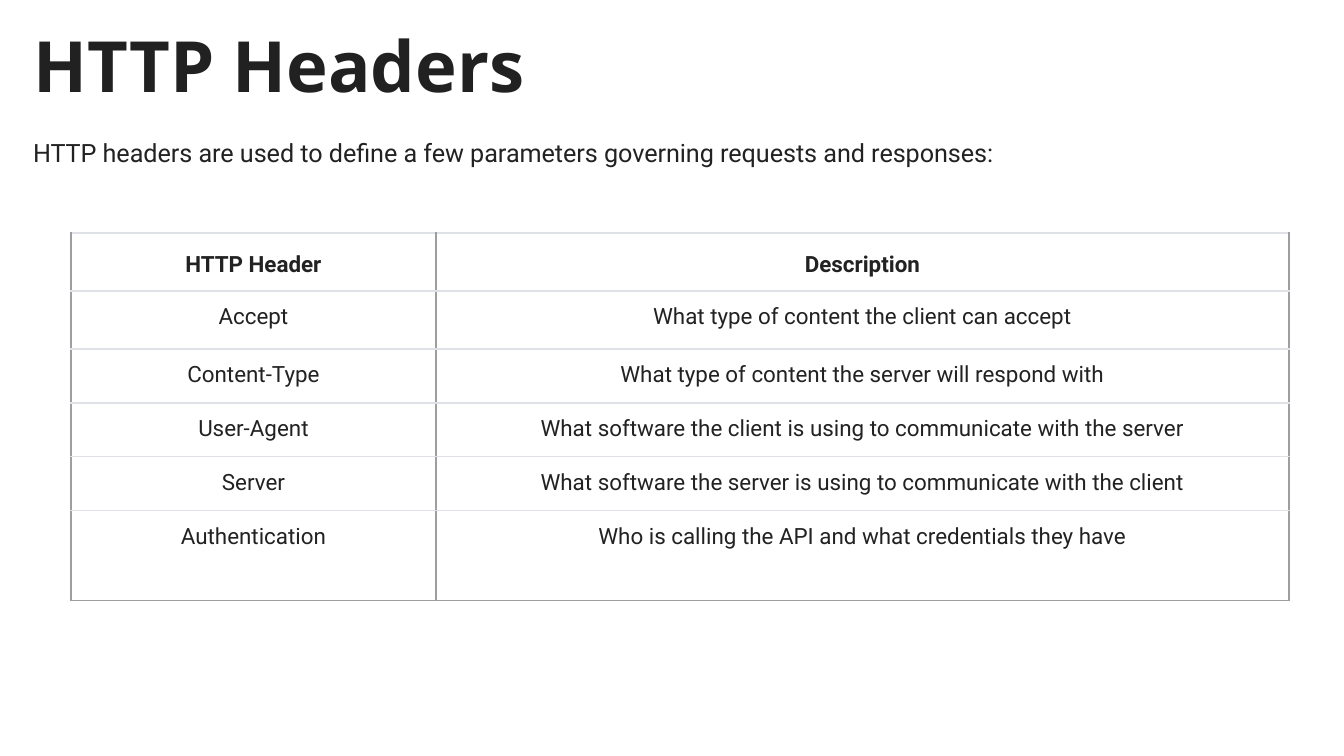
from lxml.etree import SubElement
from pptx import Presentation
from pptx.dml.color import RGBColor
from pptx.enum.text import MSO_ANCHOR, PP_ALIGN
from pptx.oxml.ns import qn
from pptx.util import Pt

PIXEL = 914400 / 134.4
INSET = 13
TITLE_COLOR = RGBColor(0x21, 0x21, 0x21)
TEXT_COLOR = RGBColor(0x22, 0x22, 0x22)
GRID_GRAY = RGBColor(0x9E, 0x9E, 0x9E)
RULE_GRAY = RGBColor(0xDE, 0xE2, 0xE6)

COLUMN_WIDTHS = (365, 853)
ROW_HEIGHTS = (58, 58, 54, 54, 54, 90)
HEADERS = (
    ("HTTP Header", "Description"),
    ("Accept", "What type of content the client can accept"),
    ("Content-Type", "What type of content the server will respond with"),
    ("User-Agent", "What software the client is using to communicate with the server"),
    ("Server", "What software the server is using to communicate with the client"),
    ("Authentication", "Who is calling the API and what credentials they have"),
)


def px(pixels):
    """Convert picture pixels to EMU."""
    return round(pixels * PIXEL)


def set_insets(area, top=INSET):
    """Set the margins of a text frame or table cell."""
    area.margin_left = area.margin_right = area.margin_bottom = px(INSET)
    area.margin_top = px(top)


def style_paragraph(paragraph, font_name, size, color, bold=False, align=PP_ALIGN.LEFT, spacing=1.0):
    """Format a whole paragraph."""
    paragraph.alignment = align
    paragraph.line_spacing = spacing
    font = paragraph.font
    font.name, font.size, font.bold = font_name, Pt(size), bold
    font.color.rgb = color


def add_title(slide, wording):
    """Place and format the title placeholder."""
    title = slide.shapes.title
    title.left, title.top, title.width, title.height = map(px, (20, 13, 1253, 118))
    frame = title.text_frame
    frame.text = wording
    frame.vertical_anchor = MSO_ANCHOR.TOP
    set_insets(frame, top=9)
    style_paragraph(frame.paragraphs[0], "Open Sans", 37.8, TITLE_COLOR, bold=True)


def add_intro(slide, wording):
    """Add the introductory sentence."""
    frame = slide.shapes.add_textbox(*map(px, (20, 120, 1294, 610))).text_frame
    frame.word_wrap = True
    frame.text = wording
    set_insets(frame)
    style_paragraph(frame.paragraphs[0], "Roboto", 13.5, TEXT_COLOR, spacing=1.15)


def add_border(cell, side, color, width):
    """Draw one border of a cell."""
    properties = cell._tc.get_or_add_tcPr()
    line = SubElement(properties, qn(f"a:ln{side}"), w=str(Pt(width)))
    fill = SubElement(line, qn("a:solidFill"))
    SubElement(fill, qn("a:srgbClr"), val=str(color))


def fill_cell(cell, wording, row, last_row):
    """Write and format one table cell."""
    is_heading = row == 0
    cell.text = wording
    set_insets(cell)
    cell.vertical_anchor = MSO_ANCHOR.BOTTOM if is_heading else MSO_ANCHOR.TOP
    style_paragraph(cell.text_frame.paragraphs[0], "Roboto", 12, TEXT_COLOR,
                    bold=is_heading, align=PP_ALIGN.CENTER,
                    spacing=1.15 if is_heading else 1.0)
    add_border(cell, "L", GRID_GRAY, 0.75)
    add_border(cell, "R", GRID_GRAY, 0.75)
    add_border(cell, "T", RULE_GRAY, 1.5 if row == 1 else 0.75)
    add_border(cell, "B", GRID_GRAY if row == last_row else RULE_GRAY,
               1.5 if is_heading else 0.75)
    cell.fill.background()


def add_header_table(slide):
    """Add the table of headers and their descriptions."""
    bounds = (71, 233, sum(COLUMN_WIDTHS), sum(ROW_HEIGHTS))
    table = slide.shapes.add_table(len(HEADERS), len(COLUMN_WIDTHS), *map(px, bounds)).table
    table.horz_banding = False
    for column, width in zip(table.columns, COLUMN_WIDTHS):
        column.width = px(width)
    for row, (height, wordings) in enumerate(zip(ROW_HEIGHTS, HEADERS)):
        table.rows[row].height = px(height)
        for column, wording in enumerate(wordings):
            fill_cell(table.cell(row, column), wording, row, len(HEADERS) - 1)


def main():
    """Build and save the slide."""
    presentation = Presentation()
    presentation.slide_width, presentation.slide_height = px(1344), px(756)
    slide = presentation.slides.add_slide(presentation.slide_layouts[5])
    add_title(slide, "HTTP Headers")
    add_intro(slide, "HTTP headers are used to define a few parameters governing requests and responses:")
    add_header_table(slide)
    presentation.save("out.pptx")


main()
